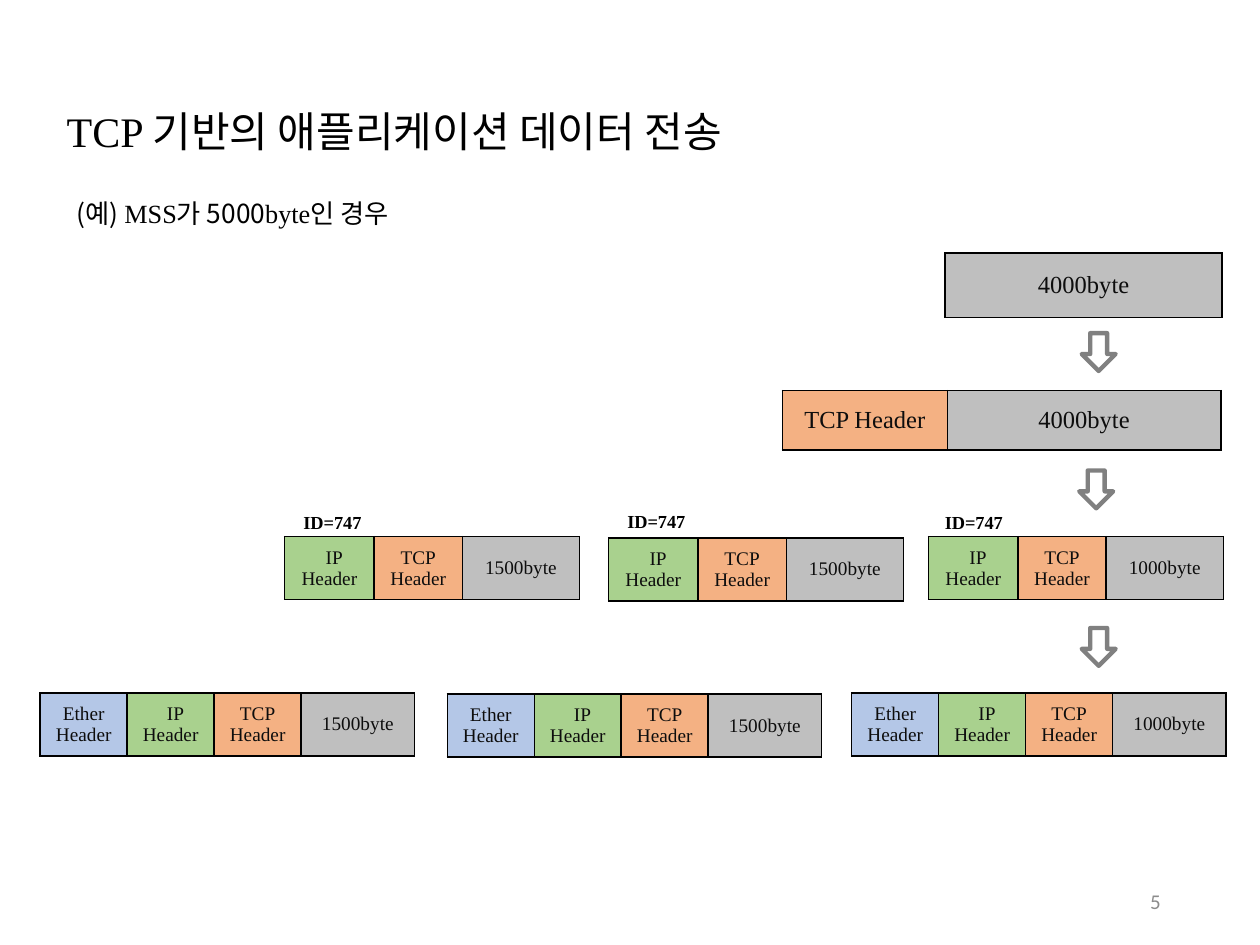
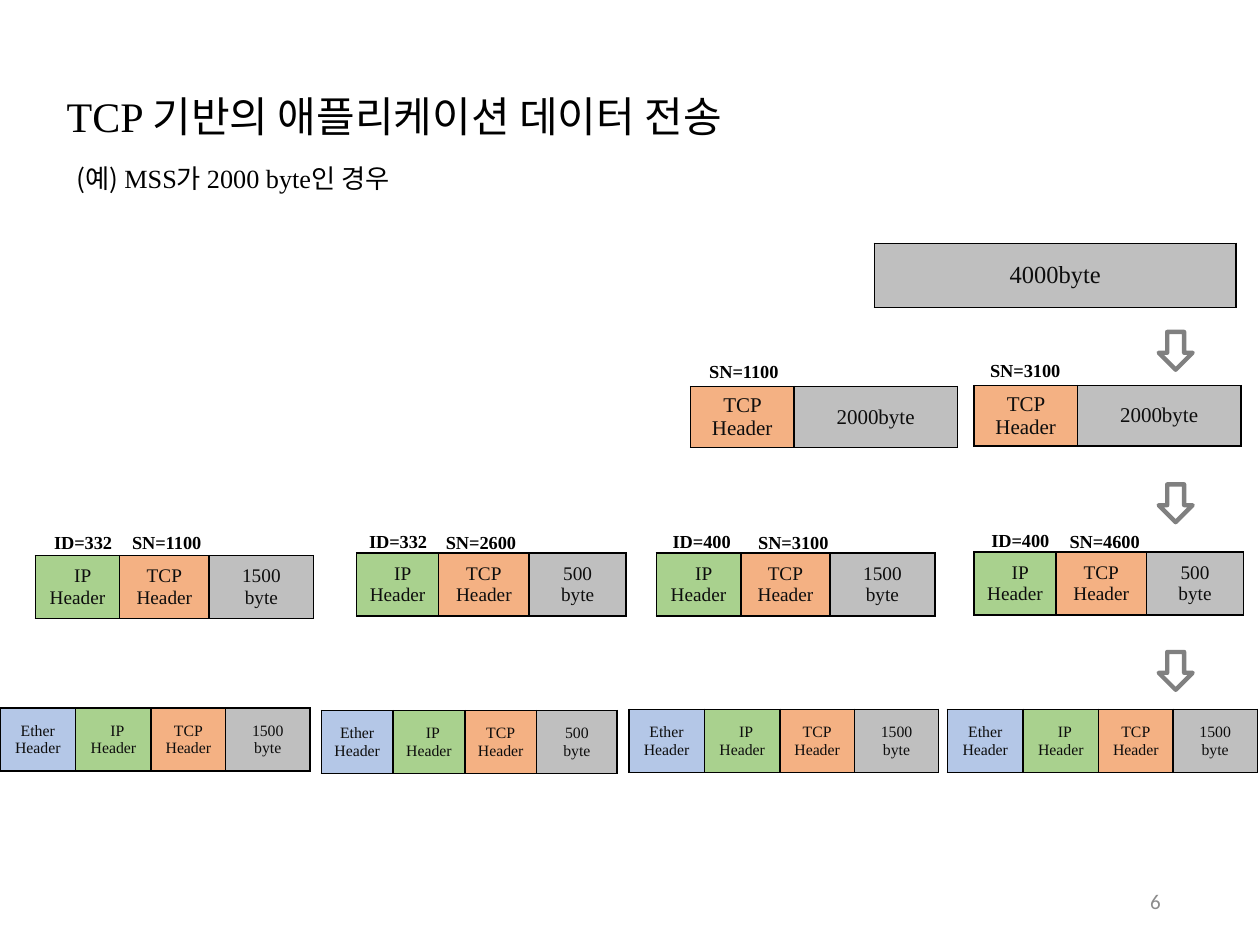
from dataclasses import dataclass

from lxml import etree
from pptx import Presentation
from pptx.dml.color import RGBColor
from pptx.enum.shapes import MSO_SHAPE
from pptx.enum.text import MSO_ANCHOR, PP_ALIGN
from pptx.oxml.ns import qn
from pptx.util import Pt

ARROW = MSO_SHAPE.RIGHT_ARROW
MID, TOP = MSO_ANCHOR.MIDDLE, MSO_ANCHOR.TOP
LEFT, RIGHT, CENTER = PP_ALIGN.LEFT, PP_ALIGN.RIGHT, PP_ALIGN.CENTER


@dataclass(frozen=True)
class Theme:
    latin: str = "Times New Roman"
    hangul: str = "Noto Sans CJK KR"
    num: str = "Calibri"
    ink: str = "000000"
    cell: str = "0D0D0D"
    gray: str = "808080"
    pale: str = "8C8C8C"
    fills: tuple = ("B4C7E7", "A9D18E", "F4B183", "BFBFBF")  # Ether, IP, TCP, data
    title: float = 24
    sub: float = 15
    label: float = 10.5
    page: float = 12


T = Theme()

# Content: text runs are (text, font)
TITLE = [("TCP ", T.latin), ("기반의 애플리케이션 데이터 전송", T.hangul)]
ETHER, IP, TCP = "Ether\nHeader", "IP\nHeader", "TCP\nHeader"

# A row is (type size, height, headers, packets);
# a packet is (left, top, column widths, data text)
IP_COLS = (51.1, 50.4, 67)
ETH_COLS = (49.7, 49.7, 49.7, 64.8)
LONG_IP, SHORT_IP = (48.2, 51.1, 59.8), (46.8, 51.8, 55.4)
LONG_ETH, SHORT_ETH = (43.2, 43.2, 42.5, 48.2), (41, 41, 41, 46.1)

SLIDES = [
    dict(
        page="5", title_top=56.9, sub_top=109.4,
        sub=[("(예) ", T.hangul), ("MSS", T.latin), ("가 5000", T.hangul),
             ("byte", T.latin), ("인 경우", T.hangul)],
        rows=[
            (14, 36.7, [], [(540, 144.7, (158.4,), "4000byte")]),
            (14, 34, ["TCP Header"], [(447.1, 223.2, (94.3, 156.2), "4000byte")]),
            (11, 36, [IP, TCP], [
                (162.7, 306.7, IP_COLS, "1500byte"),
                (347.8, 307.4, IP_COLS, "1500byte"),
                (530.6, 306.7, IP_COLS, "1000byte")]),
            (11, 36, [ETHER, IP, TCP], [
                (23, 396, ETH_COLS, "1500byte"),
                (255.6, 396.7, ETH_COLS, "1500byte"),
                (486.7, 396, ETH_COLS, "1000byte")]),
        ],
        labels=[("ID=747", 166.3, 288.7), ("ID=747", 351.4, 288),
                ("ID=747", 532.8, 288.7)],
        arrows=[(617, 191.5), (615.6, 270), (617, 360)],
    ),
    dict(
        page="6", title_top=48.2, sub_top=89.3,
        sub=[("(예) ", T.hangul), ("MSS", T.latin), ("가 ", T.hangul),
             ("2000 byte", T.latin), ("인 경우", T.hangul)],
        rows=[
            (14, 36.7, [], [(499.7, 139, (206.6,), "4000byte")]),
            (12, 34, ["TCP Header"], [
                (394.6, 221, (59, 93.6), "2000byte"),
                (556.6, 220.3, (59, 93.6), "2000byte")]),
            (11, 36, ["IP Header", TCP], [
                (20.2, 317.5, LONG_IP, "1500\nbyte"),
                (203.8, 316.1, SHORT_IP, "500\nbyte"),
                (375.1, 316.1, LONG_IP, "1500\nbyte"),
                (556.6, 315.4, SHORT_IP, "500\nbyte")]),
            (9, 36, [ETHER, IP, TCP], [
                (0, 404.6, LONG_ETH, "1500\nbyte"),
                (183.6, 406.1, SHORT_ETH, "500\nbyte"),
                (359.3, 405.4, LONG_ETH, "1500\nbyte"),
                (541.4, 405.4, LONG_ETH, "1500\nbyte")]),
        ],
        labels=[("SN=1100", 398.2, 202.3), ("SN=3100", 558.7, 201.6),
                ("ID=332", 23.8, 300.2), ("SN=1100", 68.4, 300.2),
                ("ID=332", 203.8, 299.5), ("SN=2600", 247.7, 300.2),
                ("ID=400", 377.3, 299.5), ("SN=3100", 426.2, 300.2),
                ("ID=400", 559.4, 298.8), ("SN=4600", 604.1, 299.5)],
        arrows=[(661, 190.8), (661, 277.9), (661, 373.7)],
    ),
]


def style(run, face, size, color, bold=False):
    font = run.font
    font.name, font.size, font.bold = face, Pt(size), bold
    font.color.rgb = RGBColor.from_string(color)
    if face == T.hangul:
        etree.SubElement(run._r.get_or_add_rPr(), qn("a:ea"), typeface=face)


def add_text(slide, box, runs, size, color=T.ink, bold=False, align=LEFT, anchor=TOP):
    frame = slide.shapes.add_textbox(*map(Pt, box)).text_frame
    frame.word_wrap, frame.vertical_anchor = True, anchor
    para = frame.paragraphs[0]
    para.alignment = align
    for text, face in runs:
        run = para.add_run()
        run.text = text
        style(run, face, size, color, bold)


def add_edges(cell):
    props = cell._tc.get_or_add_tcPr()
    for spot, side in enumerate("LRTB"):
        line = etree.Element(qn("a:ln" + side), w=str(Pt(1)))
        fill = etree.SubElement(line, qn("a:solidFill"))
        etree.SubElement(fill, qn("a:srgbClr"), val=T.ink)
        props.insert(spot, line)


def fill_cell(cell, text, size, color):
    cell.fill.solid()
    cell.fill.fore_color.rgb = RGBColor.from_string(color)
    cell.vertical_anchor = MID
    cell.margin_left = cell.margin_right = Pt(5.2)
    cell.margin_top = cell.margin_bottom = Pt(2.9)
    cell.text_frame.text = text
    paras = cell.text_frame.paragraphs
    for para in paras:
        para.alignment = CENTER
        for run in para.runs:
            style(run, T.latin, size, T.cell)
    # The IP line sits slightly right of centre
    if text.startswith("IP"):
        paras[0]._p.get_or_add_pPr().set("indent", str(Pt(size / 2)))
    add_edges(cell)


def add_packet(slide, size, high, heads, left, top, cols, data):
    box = map(Pt, (left, top, sum(cols), high))
    table = slide.shapes.add_table(1, len(cols), *box).table
    table.first_row = table.horz_banding = False
    fills = T.fills[-len(cols):]
    for i, (wide, text, color) in enumerate(zip(cols, heads + [data], fills)):
        table.columns[i].width = Pt(wide)
        fill_cell(table.cell(0, i), text, size, color)


def add_arrow(slide, left, top):
    arrow = slide.shapes.add_shape(ARROW, Pt(left), Pt(top), Pt(21.6), Pt(19.4))
    arrow.rotation = 90
    arrow.shadow.inherit = False
    arrow.fill.background()
    arrow.line.color.rgb = RGBColor.from_string(T.gray)
    arrow.line.width = Pt(2.5)


def build(deck, page):
    slide = deck.slides.add_slide(deck.slide_layouts[6])
    # Heading and page number
    add_text(slide, (31, page["title_top"], 422, 65.5), TITLE, T.title)
    add_text(slide, (36.7, page["sub_top"], 205.2, 25.2), page["sub"], T.sub)
    add_text(slide, (508.3, 500.4, 162, 28.8), [(page["page"], T.num)],
             T.page, T.pale, align=RIGHT, anchor=MID)
    # Packets, layer by layer
    for size, high, heads, packs in page["rows"]:
        for pack in packs:
            add_packet(slide, size, high, heads, *pack)
    # Labels and arrows
    for text, left, top in page["labels"]:
        wide = 48.2 if text.startswith("ID") else 55.4
        add_text(slide, (left, top, wide, 20.2), [(text, T.latin)], T.label, bold=True)
    for spot in page["arrows"]:
        add_arrow(slide, *spot)


def main():
    deck = Presentation()
    deck.slide_width, deck.slide_height = Pt(720), Pt(540)
    for page in SLIDES:
        build(deck, page)
    deck.save("out.pptx")


if __name__ == "__main__":
    main()
